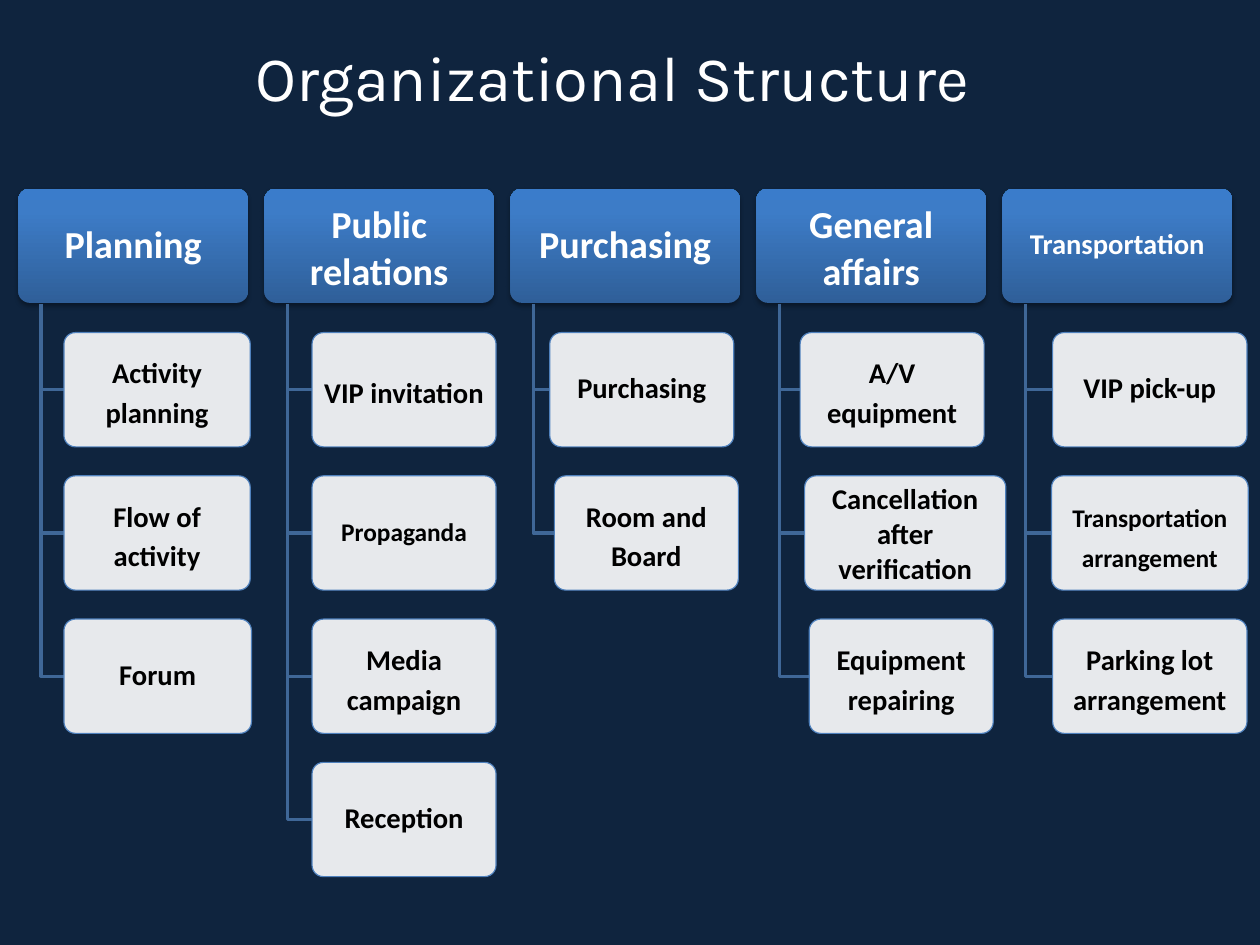
from copy import deepcopy

from lxml import etree
from pptx import Presentation
from pptx import util as u
from pptx.dml.color import RGBColor
from pptx.enum import shapes, text
from pptx.oxml.ns import qn

COLORS = {
    "background": "0F243E", "white": "FFFFFF", "black": "000000",
    "branch": "3F6797", "border": "4F81BD",
    "header_low": "2F5F99", "header_mid": "3D7CC7", "header_high": "3A7CCB",
}

PAGE_WIDTH, PAGE_HEIGHT = 28 / 2.54, 21 / 2.54  # 28 by 21 cm
HEADER_LEFT, HEADER_TOP, HEADER_WIDTH = 0.16, 1.65, 2.01
HEADER_FOOT = 2.66
COLUMN_STEP = (8.77 - HEADER_LEFT) / 4
TASK_TOP = 2.91
ROW_STEP = (6.67 - TASK_TOP) / 3
BOX_HEIGHT = 1
BRANCH_INDENT = 0.2

# Each department: header text and format, then tasks as
# (text, left, width, format); unlisted format values use the defaults.
TWO_LINES = {"spacing": u.Pt(25)}
DEPARTMENTS = [
    ("Planning", {}, [
        ("Activity planning", 0.56, 1.63, TWO_LINES),
        ("Flow of activity", 0.56, 1.63, TWO_LINES),
        ("Forum", 0.56, 1.64, {}),
    ]),
    ("Public relations", {"spacing": u.Pt(30)}, [
        ("VIP invitation", 2.73, 1.61, TWO_LINES),
        ("Propaganda", 2.73, 1.61, {"size": 16}),
        ("Media campaign", 2.73, 1.61, TWO_LINES),
        ("Reception", 2.73, 1.61, {}),
    ]),
    ("Purchasing", {}, [
        ("Purchasing", 4.81, 1.61, {}),
        ("Room and Board", 4.85, 1.61, TWO_LINES),
    ]),
    ("General affairs", {"spacing": u.Pt(30)}, [
        ("A/V equipment", 7, 1.61, TWO_LINES),
        ("Cancellation after verification", 7.04, 1.76, {"spacing": u.Pt(22)}),
        ("Equipment repairing", 7.08, 1.61, TWO_LINES),
    ]),
    ("Transportation", {"size": 18}, [
        ("VIP pick-up", 9.21, 1.7, {}),
        ("Transportation arrangement", 9.2, 1.72, {"size": 16, **TWO_LINES}),
        ("Parking lot arrangement", 9.21, 1.7, TWO_LINES),
    ]),
]


def rgb(name):
    return RGBColor.from_string(COLORS[name])


def write(box, words, size=18, font="Calibri", color="black", bold=True,
          spacing=0.9, margins=(0.04, 0.03)):
    """Fill a box with one centred paragraph."""
    frame = box.text_frame
    frame.word_wrap = True
    frame.vertical_anchor = text.MSO_ANCHOR.MIDDLE
    frame.margin_left = frame.margin_right = u.Inches(margins[0])
    frame.margin_top = frame.margin_bottom = u.Inches(margins[1])
    para = frame.paragraphs[0]
    para.alignment = text.PP_ALIGN.CENTER
    para.line_spacing = spacing
    span = para.add_run()
    span.text = words
    span.font.size = u.Pt(size)
    span.font.name = font
    span.font.bold = bold
    span.font.color.rgb = rgb(color)


class OrgChart:
    def __init__(self, page):
        self.page = page
        page.background.fill.solid()
        page.background.fill.fore_color.rgb = rgb("background")

    def title(self, words):
        box = self.page.shapes.add_textbox(
            u.Inches(1.89), u.Inches(0.2), u.Inches(6.93), u.Inches(0.94))
        write(box, words, size=40, font="Karla", color="white", bold=False,
              spacing=1.0, margins=(0, 0))

    def rounded_box(self, left, top, width):
        box = self.page.shapes.add_shape(
            shapes.MSO_SHAPE.ROUNDED_RECTANGLE, u.Inches(left), u.Inches(top),
            u.Inches(width), u.Inches(BOX_HEIGHT))
        box.adjustments[0] = 0.1
        box.shadow.inherit = False
        return box

    def header(self, words, left, **style):
        box = self.rounded_box(left, HEADER_TOP, HEADER_WIDTH)
        box.line.fill.background()
        box.fill.gradient()
        box.fill.gradient_angle = 90
        low, high = box.fill.gradient_stops
        low.position, low.color.rgb = 0, rgb("header_low")
        high.position, high.color.rgb = 1, rgb("header_high")
        stops = box._element.spPr.find(".//" + qn("a:gsLst"))
        stops.insert(1, deepcopy(stops[1]))
        middle = box.fill.gradient_stops[1]
        middle.position, middle.color.rgb = 0.8, rgb("header_mid")
        self.drop_shadow(box)
        write(box, words, **{"size": 24, "color": "white",
                             "margins": (0.05, 0.03), **style})

    def drop_shadow(self, box):
        effects = box._element.spPr.find(qn("a:effectLst"))
        shadow = etree.SubElement(
            effects, qn("a:outerShdw"), blurRad=str(u.Pt(3.1)),
            dist=str(u.Pt(1.8)), dir="5400000", rotWithShape="0")
        tint = etree.SubElement(shadow, qn("a:srgbClr"), val=COLORS["black"])
        etree.SubElement(tint, qn("a:alpha"), val="35000")

    def branch(self, left, right, level):
        """Draw the elbow from a header's foot to a task's left edge."""
        start, end, depth = u.Inches(left), u.Inches(right), u.Inches(level)
        builder = self.page.shapes.build_freeform(start, u.Inches(HEADER_FOOT))
        builder.add_line_segments([(start, depth), (end, depth)], close=False)
        elbow = builder.convert_to_shape()
        elbow.shadow.inherit = False
        elbow.fill.background()
        elbow.line.color.rgb = rgb("branch")
        elbow.line.width = u.Pt(2)

    def task(self, words, left, top, width, **style):
        box = self.rounded_box(left, top, width)
        box.fill.solid()
        box.fill.fore_color.rgb = rgb("white")
        tint = box._element.spPr.find(qn("a:solidFill"))[0]
        etree.SubElement(tint, qn("a:alpha"), val="90000")
        box.line.color.rgb = rgb("border")
        box.line.width = u.Pt(0.75)
        write(box, words, **style)


def main():
    deck = Presentation()
    deck.slide_width = u.Inches(PAGE_WIDTH)
    deck.slide_height = u.Inches(PAGE_HEIGHT)
    chart = OrgChart(deck.slides.add_slide(deck.slide_layouts[6]))
    chart.title("Organizational Structure")
    for column, (name, style, tasks) in enumerate(DEPARTMENTS):
        header_left = HEADER_LEFT + column * COLUMN_STEP
        chart.header(name, header_left, **style)
        for row, (words, left, width, task_style) in enumerate(tasks):
            top = TASK_TOP + row * ROW_STEP
            chart.branch(header_left + BRANCH_INDENT, left, top + BOX_HEIGHT / 2)
            chart.task(words, left, top, width, **task_style)
    deck.save("out.pptx")


if __name__ == "__main__":
    main()
